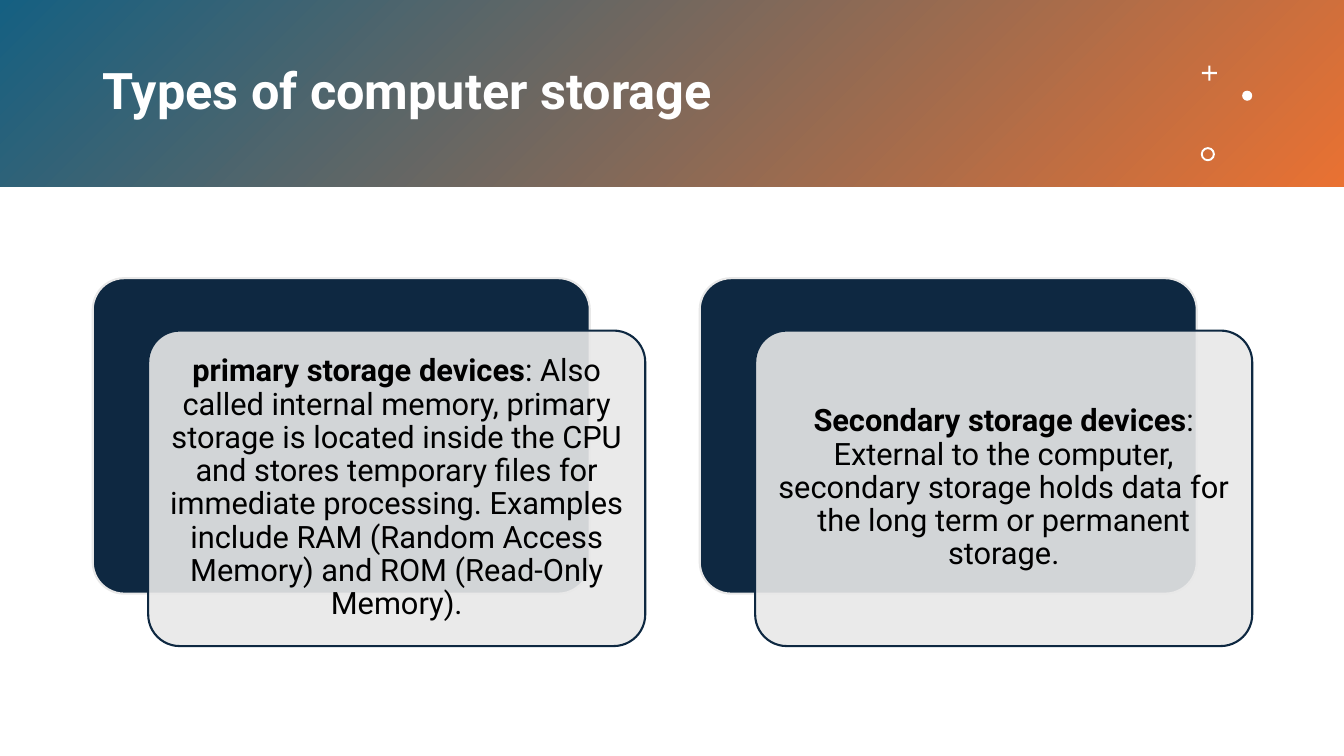
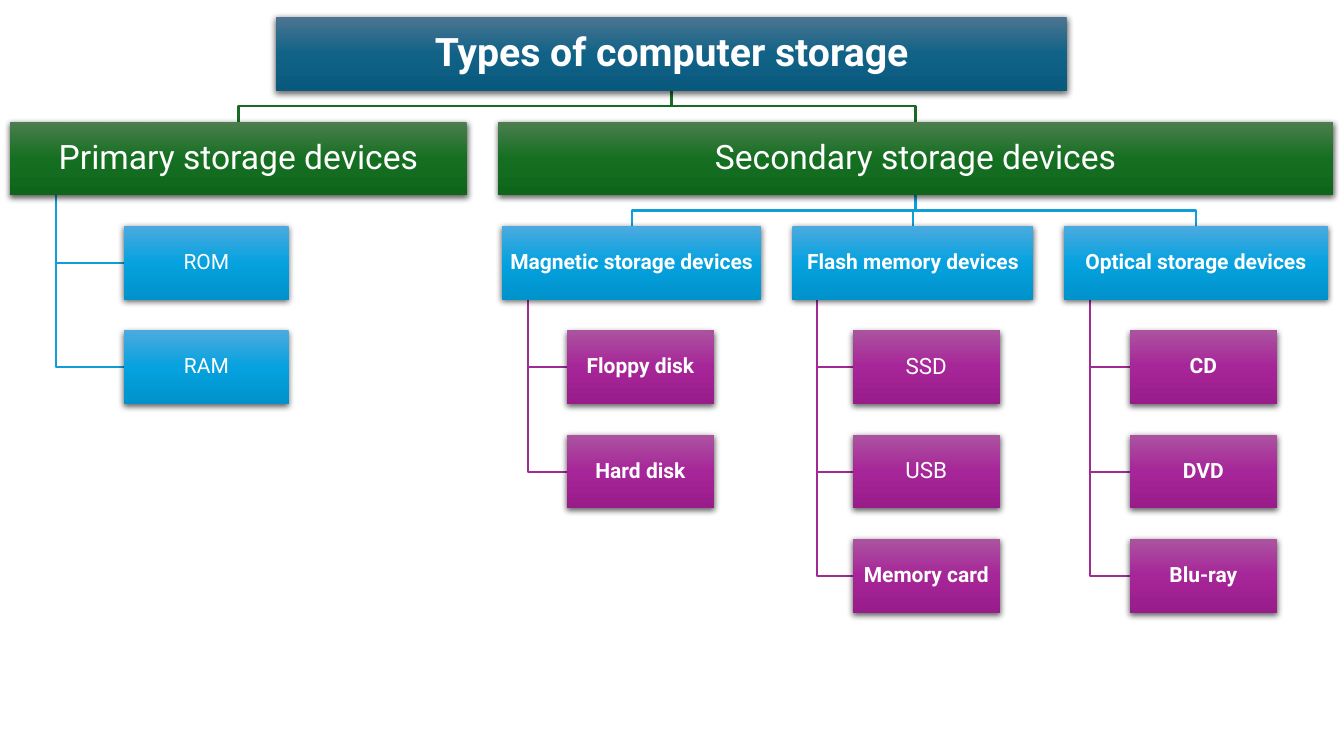
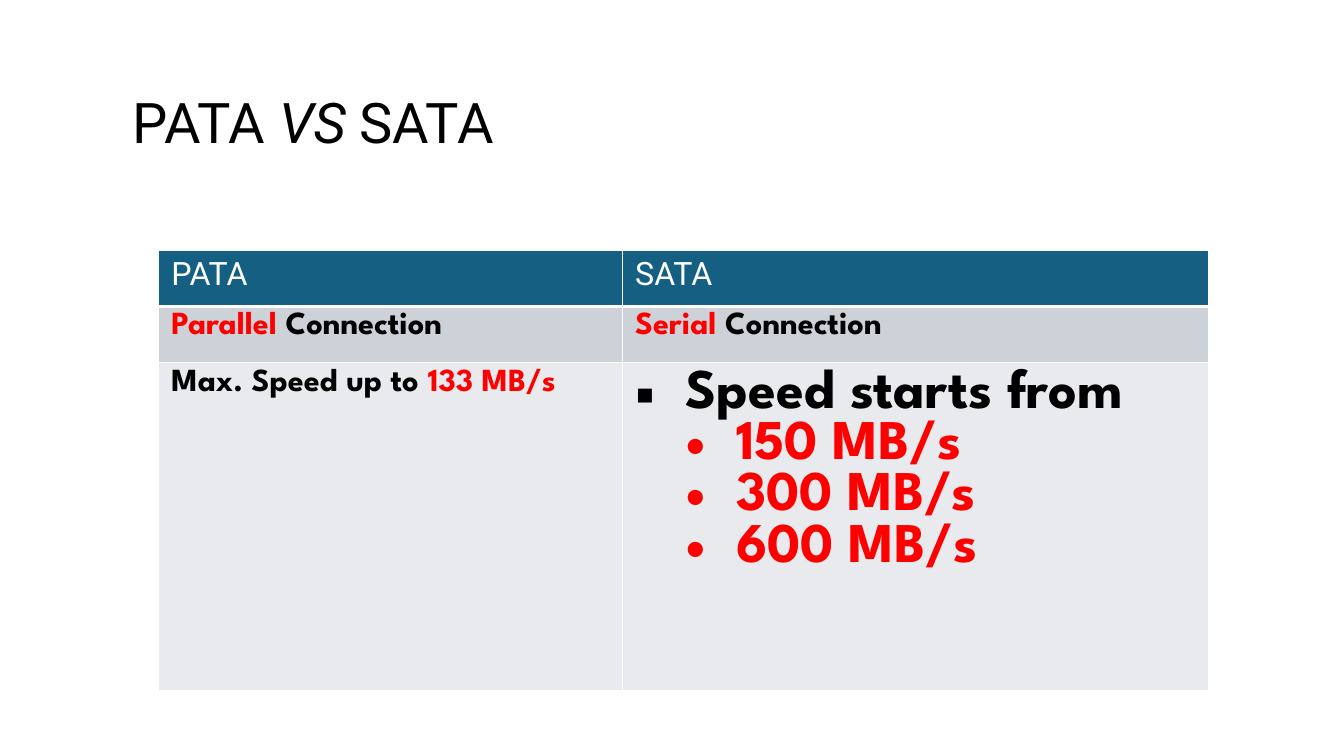
from copy import deepcopy
from dataclasses import dataclass, field
from typing import NamedTuple

from lxml import etree
from pptx import Presentation
from pptx.dml.color import RGBColor
from pptx.enum import shapes as s, text as t
from pptx.oxml import ns
from pptx.util import Inches, Pt


class Tier(NamedTuple):
    """One depth of the tree: box gradient, colour of the line into it, type size."""
    stops: tuple
    line: str
    size: float
    inset: float


@dataclass(frozen=True)
class Theme:
    font: str = "Roboto"
    accent: str = "League Spartan"
    white: str = "FFFFFF"
    black: str = "000000"
    red: str = "FF0000"
    navy: str = "0E2841"
    teal: str = "156082"
    orange: str = "E97132"
    grey: str = "E8E8E8"
    bands: tuple = ("156082", "CCD2D8", "E8EAED")
    banner: float = 36
    title: float = 40
    card: float = 22
    cell: float = 23
    speed: float = 40
    line: float = 1.5
    tiers: tuple = (
        Tier(("4C7591", "106287", "09597D"), "156082", 28, 0.02),
        Tier(("4D7E50", "156F21", "0F661B"), "196B24", 24, 0.02),
        Tier(("4CAADF", "05A2DF", "0092CB"), "0F9ED5", 15, 0.01),
        Tier(("AC53A0", "A62598", "991C8B"), "A02B93", 15, 0.01),
    )


TH = Theme()


class Run(NamedTuple):
    text: str
    color: str | None = None
    bold: bool | None = None
    italic: bool | None = None


class Para(NamedTuple):
    runs: tuple
    size: float
    color: str = TH.black
    bold: bool = False
    font: str = TH.font
    center: bool = False
    space: float | None = None
    bullet: str = ""
    level: int = 0


@dataclass(frozen=True)
class Node:
    """A tree box; without a left edge it hangs below its parent."""
    text: str
    width: float
    left: float | None = None
    bold: bool = True
    size: float | None = None
    kids: list["Node"] = field(default_factory=list)


def rgb(color: str) -> RGBColor:
    return RGBColor.from_string(color)


def sub(parent, tag: str, **attrs):
    return etree.SubElement(parent, ns.qn(tag), attrs)


def write(frame, paras: list[Para], inset=(0.1, 0.05)) -> None:
    frame.word_wrap = True
    frame.vertical_anchor = t.MSO_ANCHOR.MIDDLE
    frame.margin_left = frame.margin_right = Inches(inset[0])
    frame.margin_top = frame.margin_bottom = Inches(inset[1])
    fill_text(frame, paras)


def fill_text(frame, paras: list[Para]) -> None:
    for i, para in enumerate(paras):
        p = frame.add_paragraph() if i else frame.paragraphs[0]
        p.alignment = t.PP_ALIGN.CENTER if para.center else t.PP_ALIGN.LEFT
        if para.space:
            p.line_spacing = para.space
        if para.bullet:
            p.level = para.level
            props = p._p.get_or_add_pPr()
            props.set("marL", str(Inches(0.5 * (para.level + 1))))
            props.set("indent", str(-Inches(0.5)))
            sub(props, "a:buFont", typeface="Arial")
            sub(props, "a:buChar", char=para.bullet)
        p.font.name = para.font
        p.font.size = Pt(para.size)
        p.font.bold = para.bold
        p.font.color.rgb = rgb(para.color)
        for run in para.runs:
            r = p.add_run()
            r.text = run.text
            if run.color:
                r.font.color.rgb = rgb(run.color)
            if run.bold is not None:
                r.font.bold = run.bold
            if run.italic is not None:
                r.font.italic = run.italic


def blend(shape, colors: tuple, angle: float) -> None:
    """Fill with evenly spaced colours, the angle running clockwise."""
    shape.fill.gradient()
    shape.fill.gradient_angle = 360 - angle
    stops = shape._element.spPr.find(".//" + ns.qn("a:gsLst"))
    while len(stops) < len(colors):
        stops.append(deepcopy(stops[-1]))
    for i, (stop, color) in enumerate(zip(shape.fill.gradient_stops, colors)):
        stop.position = i / (len(colors) - 1)
        stop.color.rgb = rgb(color)


def add_box(slide, kind, at: tuple, fill: str = "", line: str = ""):
    shape = slide.shapes.add_shape(kind, *map(Inches, at))
    shape.shadow.inherit = False
    if fill:
        shape.fill.solid()
        shape.fill.fore_color.rgb = rgb(fill)
    if line:
        shape.line.color.rgb = rgb(line)
        shape.line.width = Pt(TH.line)
    else:
        shape.line.fill.background()
    return shape


def add_title(slide, at: tuple, para: Para) -> None:
    box = slide.shapes.add_textbox(*map(Inches, at))
    write(box.text_frame, [para])


def add_card(slide, left: float, head: str, body: str) -> None:
    top, size = 2.76, (4.93, 3.13)
    kind = s.MSO_SHAPE.ROUNDED_RECTANGLE
    back = add_box(slide, kind, (left, top, *size), TH.navy, TH.grey)
    front = add_box(slide, kind, (left + 0.55, top + 0.52, *size), TH.grey, TH.navy)
    for card in (back, front):
        card.adjustments[0] = 0.1
    tint = front._element.spPr.find(ns.qn("a:solidFill"))[0]
    sub(tint, "a:alpha", val="90000")
    para = Para((Run(head, bold=True), Run(body)), TH.card, center=True, space=0.9)
    write(front.text_frame, [para], (0.09, 0.09))


def draw_cards(slide) -> None:
    banner = add_box(slide, s.MSO_SHAPE.RECTANGLE, (0, 0, 13.33, 1.85))
    blend(banner, (TH.teal, TH.orange), 45)
    add_title(slide, (0.92, 0.33, 10.75, 1.19),
              Para((Run("Types of computer storage"),), TH.banner, TH.white, True, space=0.9))
    plus = add_box(slide, s.MSO_SHAPE.CROSS, (11.92, 0.65, 0.15, 0.15), TH.white)
    plus.adjustments[0] = 0.43
    add_box(slide, s.MSO_SHAPE.OVAL, (12.32, 0.9, 0.1, 0.1), TH.white)
    ring = add_box(slide, s.MSO_SHAPE.DONUT, (11.91, 1.46, 0.14, 0.14), TH.white)
    ring.adjustments[0] = 0.14
    cards = (
        ("primary storage devices",
         ": Also called internal memory, primary storage is located inside the CPU "
         "and stores temporary files for immediate processing. Examples include RAM "
         "(Random Access Memory) and ROM (Read-Only Memory)."),
        ("Secondary storage devices",
         ": External to the computer, secondary storage holds data for the long term "
         "or permanent storage."),
    )
    for i, (head, body) in enumerate(cards):
        add_card(slide, 0.92 + 6.02 * i, head, body)


HIGH = 0.73
STEP = (5.35 - 0.17) / 5
LEAF = 1.46

TREE = Node("Types of computer storage", 7.84, 2.74, kids=[
    Node("Primary storage devices", 4.53, 0.1, False, kids=[
        Node("ROM", 1.63, bold=False),
        Node("RAM", 1.63, bold=False),
    ]),
    Node("Secondary storage devices", 8.28, 4.94, False, kids=[
        Node("Magnetic storage devices", 2.57, 4.98, kids=[
            Node("Floppy disk", LEAF),
            Node("Hard disk", LEAF),
        ]),
        Node("Flash memory devices", 2.39, 7.86, kids=[
            Node("SSD", LEAF, bold=False, size=16),
            Node("USB", LEAF, bold=False, size=16),
            Node("Memory card", LEAF),
        ]),
        Node("Optical storage devices", 2.62, 10.55, kids=[
            Node("CD", LEAF),
            Node("DVD", LEAF),
            Node("Blu-ray", LEAF),
        ]),
    ]),
])


def row_top(row: int) -> float:
    return 0.17 + STEP * row


def add_link(slide, points: list[tuple], color: str) -> None:
    start, *rest = [(Inches(x), Inches(y)) for x, y in points]
    pen = slide.shapes.build_freeform(*start)
    pen.add_line_segments(rest, close=False)
    link = pen.convert_to_shape()
    link.shadow.inherit = False
    link.fill.background()
    link.line.color.rgb = rgb(color)
    link.line.width = Pt(TH.line)


def add_node(slide, node: Node, left: float, row: int, tier: Tier) -> None:
    at = (left, row_top(row), node.width, HIGH)
    box = add_box(slide, s.MSO_SHAPE.RECTANGLE, at)
    blend(box, tier.stops, 90)
    effects = box._element.spPr.find(ns.qn("a:effectLst"))
    shade = sub(effects, "a:outerShdw", blurRad=str(Pt(4.5)), dist=str(Pt(1.5)),
                dir="5400000", algn="ctr", rotWithShape="0")
    sub(sub(shade, "a:srgbClr", val=TH.black), "a:alpha", val="63000")
    para = Para((Run(node.text),), node.size or tier.size, TH.white, node.bold,
                center=True, space=0.9)
    write(box.text_frame, [para], (tier.inset, tier.inset))


def draw_tree(slide, node: Node = TREE, left: float = 2.74, row: int = 0,
              depth: int = 0) -> None:
    """Draw the branches of a node, then its box."""
    base = row_top(row) + HIGH
    for i, kid in enumerate(node.kids):
        if kid.left is None:
            place, level = left + node.width / 4, row + 1 + i
            stem, mid = left + node.width / 10, row_top(level) + HIGH / 2
            points = [(stem, base), (stem, mid), (place, mid)]
        else:
            place, level = kid.left, row + 1
            stem, end = left + node.width / 2, place + kid.width / 2
            top = row_top(level)
            mid = (base + top) / 2
            points = [(stem, base), (stem, mid), (end, mid), (end, top)]
        add_link(slide, points, TH.tiers[depth + 1].line)
        draw_tree(slide, kid, place, level, depth + 1)
    add_node(slide, node, left, row, TH.tiers[depth])


def edge_cell(cell, base: float) -> None:
    """Give a cell white borders, the lower one of the given width."""
    props = cell._tc.get_or_add_tcPr()
    for i, (side, width) in enumerate((("L", 1), ("R", 1), ("T", 1), ("B", base))):
        line = etree.Element(ns.qn(f"a:ln{side}"), w=str(Pt(width)))
        sub(sub(line, "a:solidFill"), "a:srgbClr", val=TH.white)
        props.insert(i, line)


def draw_table(slide) -> None:
    add_title(slide, (1.22, 0.6, 11.12, 1.29),
              Para((Run("PATA "), Run("VS", italic=True), Run(" SATA")), TH.title, space=0.9))

    def head(text: str) -> list[Para]:
        return [Para((Run(text),), TH.cell, TH.white)]

    def fact(*runs: Run) -> list[Para]:
        return [Para(runs, TH.cell, bold=True, font=TH.accent)]

    def item(text: str, color: str, mark: str, level: int) -> Para:
        return Para((Run(text),), TH.speed, color, True, TH.accent, bullet=mark, level=level)

    speeds = [item("Speed starts from", TH.black, "▪", 0)]
    speeds += [item(f"{rate} MB/s", TH.red, "•", 1) for rate in (150, 300, 600)]
    rows = (
        (head("PATA"), head("SATA")),
        (fact(Run("Parallel", TH.red), Run(" Connection")),
         fact(Run("Serial", TH.red), Run(" Connection"))),
        (fact(Run("Max. Speed up to "), Run("133 MB/s", TH.red)), speeds),
    )
    at = (1.57, 2.48, 10.42, 4.37)
    table = slide.shapes.add_table(3, 2, *map(Inches, at)).table
    table.horz_banding = False
    for col, width in zip(table.columns, (4.6, 5.82)):
        col.width = Inches(width)
    for row, high in zip(table.rows, (0.56, 0.56, 3.25)):
        row.height = Inches(high)
    for i, (row, band) in enumerate(zip(rows, TH.bands)):
        for j, paras in enumerate(row):
            cell = table.cell(i, j)
            cell.margin_left = cell.margin_right = Inches(0.13)
            cell.margin_top = cell.margin_bottom = Inches(0.06)
            cell.fill.solid()
            cell.fill.fore_color.rgb = rgb(band)
            edge_cell(cell, 1 if i else 3)
            fill_text(cell.text_frame, paras)


def main() -> None:
    deck = Presentation()
    deck.slide_width, deck.slide_height = Inches(13.33), Inches(7.5)
    for draw in (draw_cards, draw_tree, draw_table):
        draw(deck.slides.add_slide(deck.slide_layouts[6]))
    deck.save("out.pptx")


if __name__ == "__main__":
    main()
